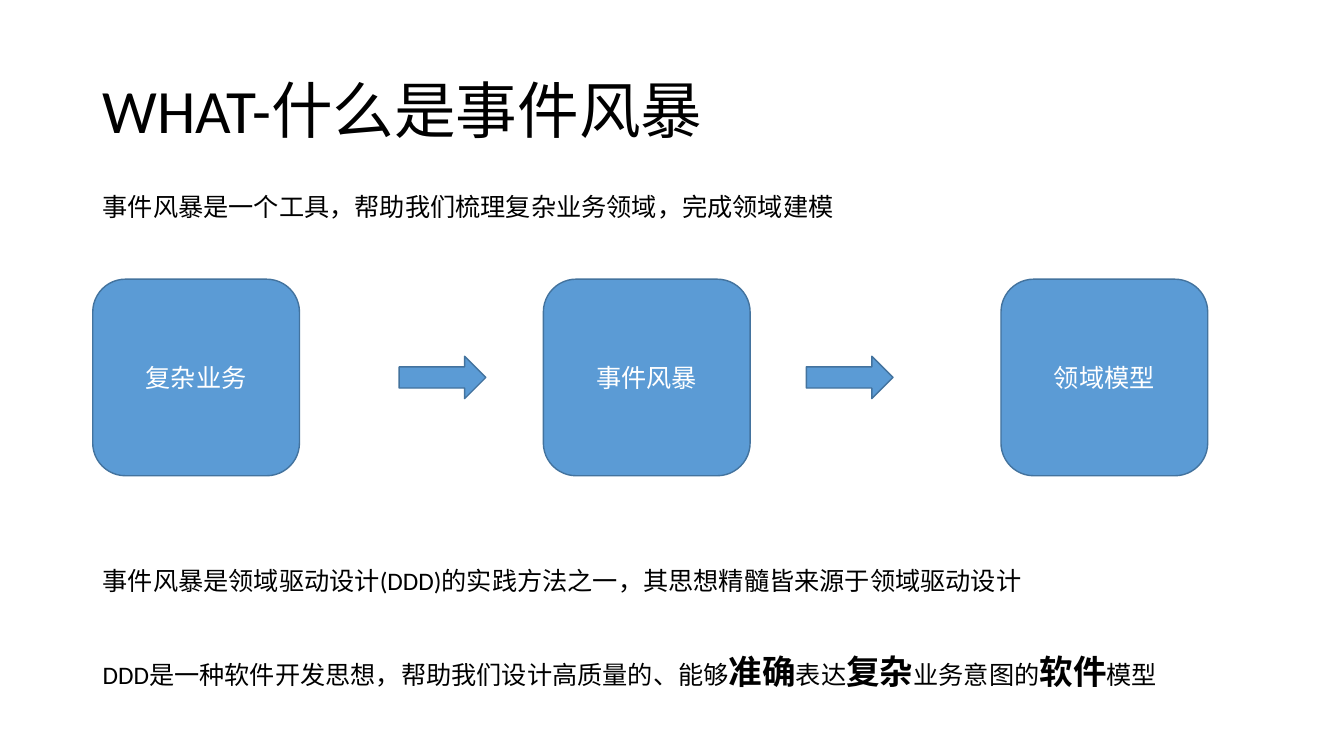
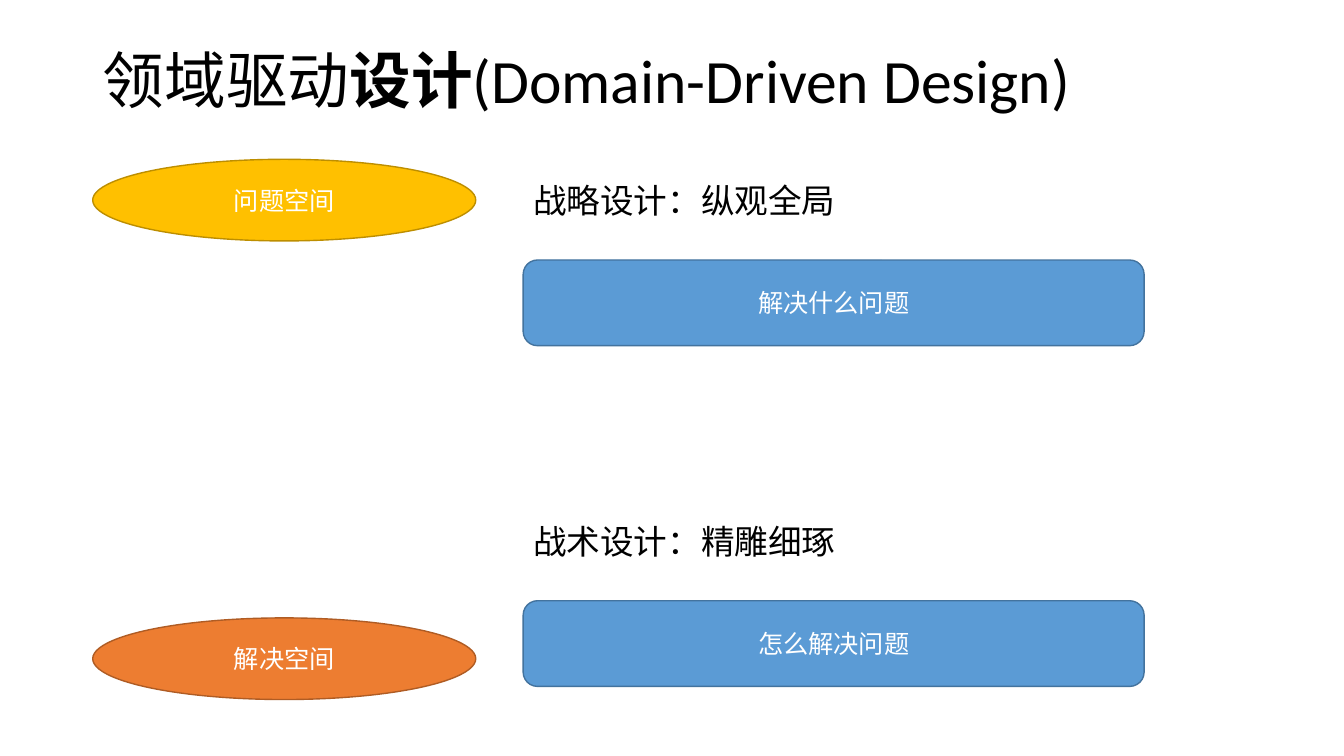
from dataclasses import dataclass

from pptx import Presentation
from pptx.dml.color import RGBColor
from pptx.enum.shapes import MSO_SHAPE
from pptx.enum.text import MSO_ANCHOR, PP_ALIGN
from pptx.util import Inches, Pt

ROUNDED = MSO_SHAPE.ROUNDED_RECTANGLE
ELLIPSE = MSO_SHAPE.OVAL
ARROW = MSO_SHAPE.RIGHT_ARROW
MIDDLE = MSO_ANCHOR.MIDDLE
LEFT, CENTER = PP_ALIGN.LEFT, PP_ALIGN.CENTER
TITLE_ONLY = 5


@dataclass(frozen=True)
class Theme:
    """Font, type sizes and (fill, line) colours shared by all slides."""
    font: str = "Calibri"
    title: int = 44
    heading: int = 24
    body: int = 18
    ink: str = "000000"
    paper: str = "FFFFFF"
    blue: tuple = ("5B9BD5", "43739E")
    gold: tuple = ("FFC000", "BD8E00")
    orange: tuple = ("ED7D31", "AF5C24")
    margin: float = 6.9


class Deck:
    """Draws on the current slide; lengths are percentages of the slide's size."""

    def __init__(self, theme):
        """Start a widescreen presentation."""
        self.theme = theme
        self.presentation = Presentation()
        self.presentation.slide_width = Inches(13.333)
        self.presentation.slide_height = Inches(7.5)
        self.slide = None

    def box(self, left, top, width, height):
        """Turn percentages into slide lengths."""
        across = self.presentation.slide_width / 100
        down = self.presentation.slide_height / 100
        return (round(left * across), round(top * down),
                round(width * across), round(height * down))

    def fill_paragraph(self, paragraph, pieces, size, color, align=LEFT):
        """Fill a paragraph with (text, bold, size) pieces or a plain string."""
        if isinstance(pieces, str):
            pieces = [(pieces, False, size)]
        paragraph.alignment = align
        for text, bold, points in pieces:
            run = paragraph.add_run()
            run.text = text
            run.font.name = self.theme.font
            run.font.size = Pt(points)
            run.font.bold = bold
            run.font.color.rgb = RGBColor.from_string(color)

    def add_slide(self, title, top, height):
        """Add a slide and set its title in the given band."""
        layout = self.presentation.slide_layouts[TITLE_ONLY]
        self.slide = self.presentation.slides.add_slide(layout)
        shape = self.slide.shapes.title
        shape.left, shape.top, shape.width, shape.height = self.box(
            self.theme.margin, top, 86.25, height)
        shape.text_frame.vertical_anchor = MIDDLE
        paragraph = shape.text_frame.paragraphs[0]
        paragraph.line_spacing = 0.9
        self.fill_paragraph(paragraph, title, self.theme.title, self.theme.ink)

    def text(self, pieces, left, top, width, height=5.33, size=None):
        """Add a wrapping line of text."""
        shape = self.slide.shapes.add_textbox(*self.box(left, top, width, height))
        shape.text_frame.word_wrap = True
        self.fill_paragraph(shape.text_frame.paragraphs[0], pieces,
                            size or self.theme.body, self.theme.ink)

    def shape(self, kind, colors, left, top, width, height, label=""):
        """Add a filled preset shape with an optional centred label."""
        shape = self.slide.shapes.add_shape(kind, *self.box(left, top, width, height))
        shape.shadow.inherit = False
        fill, line = colors
        shape.fill.solid()
        shape.fill.fore_color.rgb = RGBColor.from_string(fill)
        shape.line.color.rgb = RGBColor.from_string(line)
        shape.line.width = Pt(1)
        if label:
            shape.text_frame.vertical_anchor = MIDDLE
            self.fill_paragraph(shape.text_frame.paragraphs[0], label,
                                self.theme.body, self.theme.paper, CENTER)


def build_what(deck):
    """Explain event storming as a flow of three steps."""
    theme = deck.theme
    deck.add_slide("WHAT-什么是事件风暴", 5.33, 19.33)
    deck.text("事件风暴是一个工具，帮助我们梳理复杂业务领域，完成领域建模",
              theme.margin, 24.67, 60)

    step_top, step_height, arrow_height = 36.93, 26, 5.6
    steps = [("复杂业务", theme.margin), ("事件风暴", 40.43), ("领域模型", 74.48)]
    for label, left in steps:
        deck.shape(ROUNDED, theme.blue, left, step_top, 15.38, step_height, label)
    arrow_top = step_top + (step_height - arrow_height) / 2
    for left in (29.7, 60):
        deck.shape(ARROW, theme.blue, left, arrow_top, 6.45, arrow_height)

    deck.text("事件风暴是领域驱动设计(DDD)的实践方法之一，其思想精髓皆来源于领域驱动设计",
              theme.margin, 74.13, 72.38)
    plain, strong = (False, theme.body), (True, theme.heading)
    deck.text([("DDD是一种软件开发思想，帮助我们设计高质量的、能够", *plain),
               ("准确", *strong), ("表达", *plain),
               ("复杂", *strong), ("业务意图的", *plain),
               ("软件", *strong), ("模型", *plain)],
              theme.margin, 85.47, 84, 6.67)


def build_design(deck):
    """Set the problem space against the solution space."""
    theme = deck.theme
    deck.add_slide([("领域驱动", False, theme.title), ("设计", True, theme.title),
                    ("(Domain-Driven Design)", False, theme.title)], 3.33, 15.47)
    column, width = 38.93, 46.2
    spaces = [
        ("问题空间", theme.gold, 21.07, "战略设计：纵观全局", "解决什么问题", 23.2),
        ("解决空间", theme.orange, 81.73, "战术设计：精雕细琢", "怎么解决问题", 68.27),
    ]
    for space, colors, space_top, heading, question, top in spaces:
        deck.shape(ELLIPSE, colors, theme.margin, space_top, 28.5, 10.8, space)
        deck.text(heading, column, top, width, 6.67, theme.heading)
        deck.shape(ROUNDED, theme.blue, column, top + 11.2, width, 11.33, question)


def main():
    """Build both slides and save them."""
    deck = Deck(Theme())
    build_what(deck)
    build_design(deck)
    deck.presentation.save("out.pptx")


main()
